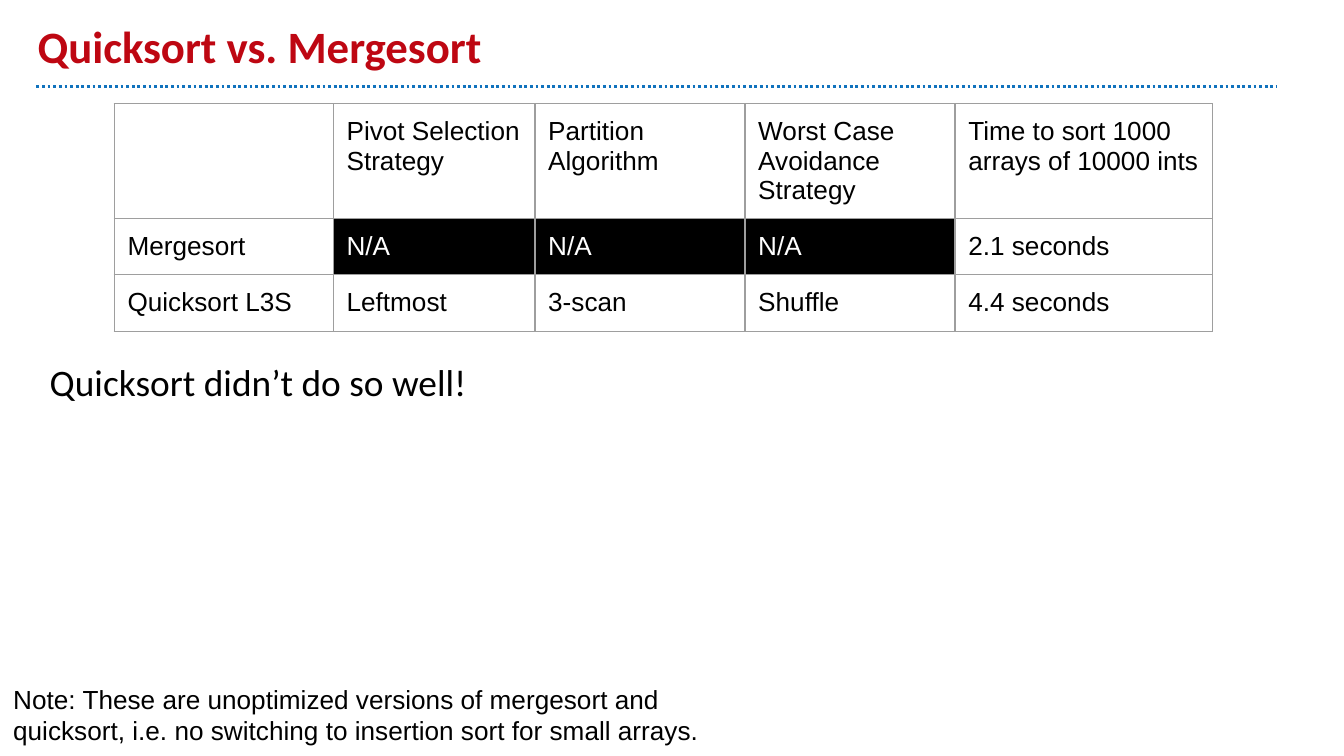
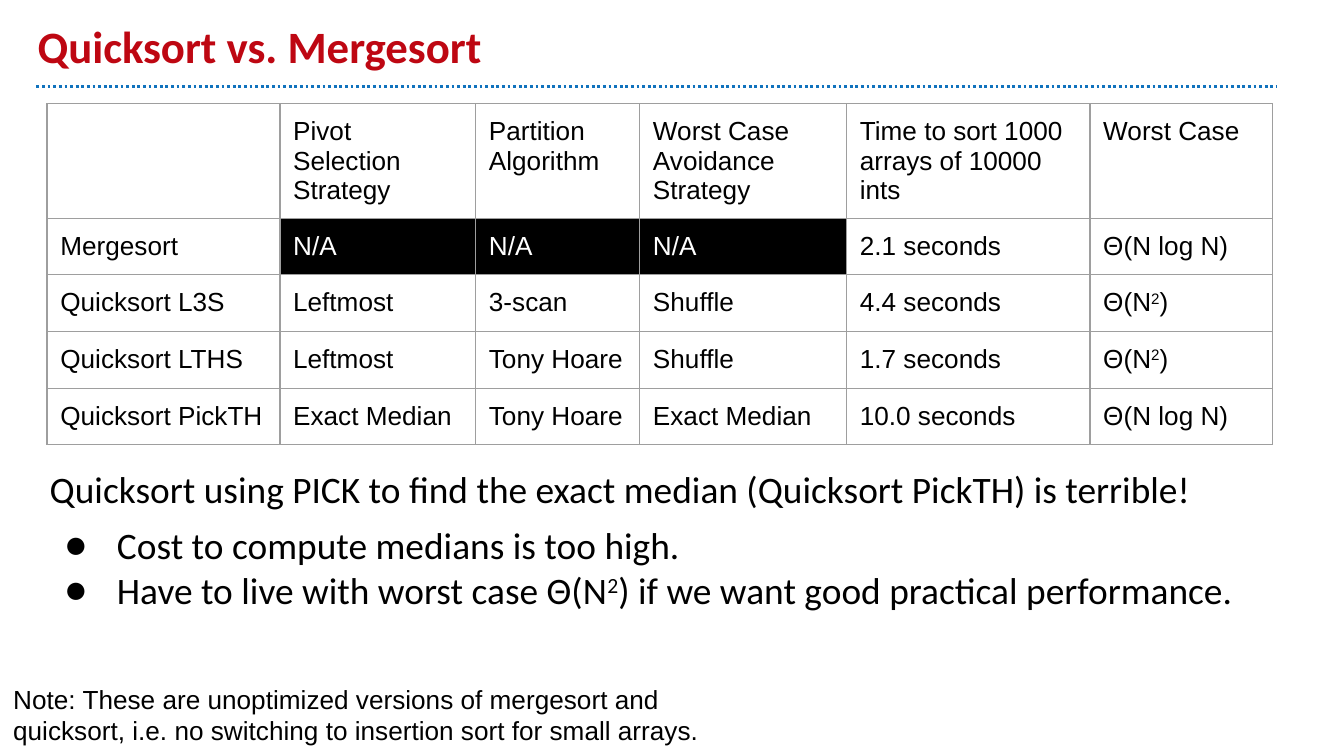
from lxml import etree
from pptx import Presentation
from pptx.dml.color import RGBColor
from pptx.enum.dml import MSO_LINE
from pptx.enum.shapes import MSO_CONNECTOR
from pptx.enum.text import MSO_ANCHOR, MSO_AUTO_SIZE, PP_ALIGN
from pptx.oxml.ns import qn
from pptx.util import Cm, Pt

DOTTED = MSO_LINE.ROUND_DOT
STRAIGHT = MSO_CONNECTOR.STRAIGHT
TOP, BOTTOM = MSO_ANCHOR.TOP, MSO_ANCHOR.BOTTOM
NO_FIT = MSO_AUTO_SIZE.NONE
LEFT = PP_ALIGN.LEFT

RED, BLUE, GREY, BLACK, WHITE = "BE0712", "1072BD", "9E9E9E", "000000", "FFFFFF"
HEADING_FONT, TABLE_FONT = "Calibri", "Arial"
INSET = 0.25
ROW_HEIGHT = 1.07
TITLE = "Quicksort vs. Mergesort"
TITLE_BOX = (0.46, 0.25, 22.86, 1.37)
RULE_BOX = (0.69, 1.63, 23.44, 0)
NOTE_BOX = (0, 12.67, 13.84, 1.62)
NOTE = (
    "Note: These are unoptimized versions of mergesort and quicksort, "
    "i.e. no switching to insertion sort for small arrays."
)
HEADERS = [
    "",
    "Pivot Selection Strategy",
    "Partition\nAlgorithm",
    "Worst Case Avoidance Strategy",
    "Time to sort 1000 arrays of 10000 ints",
    "Worst Case",
]
RESULTS = [
    ["Mergesort", "N/A", "N/A", "N/A", "2.1 seconds", "Θ(N log N)"],
    ["Quicksort L3S", "Leftmost", "3-scan", "Shuffle", "4.4 seconds", "Θ(N^2)"],
    ["Quicksort LTHS", "Leftmost", "Tony Hoare", "Shuffle", "1.7 seconds", "Θ(N^2)"],
    ["Quicksort PickTH", "Exact Median", "Tony Hoare", "Exact Median",
     "10.0 seconds", "Θ(N log N)"],
]


def color(value):
    """Turn a hex string into a colour."""
    return RGBColor.from_string(value)


def add_child(parent, tag, **attributes):
    """Append a drawing element and return it."""
    return etree.SubElement(parent, qn(tag), attributes)


def place(shape, box):
    """Move a shape to a box given in centimetres."""
    shape.left, shape.top, shape.width, shape.height = map(Cm, box)


def set_bullet(para, bullet):
    """Give a paragraph a hanging bullet, or none."""
    props = para._p.get_or_add_pPr()
    props.set("marL", str(Cm(1.27) if bullet else 0))
    props.set("indent", str(Cm(-0.99) if bullet else 0))
    if bullet:
        add_child(add_child(props, "a:buClr"), "a:srgbClr", val=BLACK)
        add_child(props, "a:buFont", typeface=HEADING_FONT)
        add_child(props, "a:buChar", char="●")
    else:
        add_child(props, "a:buNone")


def write(para, text, *, size=14, font=TABLE_FONT, ink=BLACK, bold=False,
          bullet=False, before=0):
    """Write a paragraph, raising the character after each caret."""
    set_bullet(para, bullet)
    para.alignment = LEFT
    para.line_spacing = 1.0
    para.space_before = Pt(before)
    plain, *raised = text.split("^")
    pieces = [(plain, False)]
    for part in raised:
        pieces += [(part[0], True), (part[1:], False)]
    for piece, is_raised in pieces:
        if not piece:
            continue
        span = para.add_run()
        span.text = piece
        span.font.name, span.font.size, span.font.bold = font, Pt(size), bold
        span.font.color.rgb = color(ink)
        if is_raised:
            span._r.get_or_add_rPr().set("baseline", "30000")


def prepare_frame(frame, anchor=TOP):
    """Set the wrapping, insets and anchor of a text frame."""
    frame.word_wrap = True
    frame.auto_size = NO_FIT
    frame.vertical_anchor = anchor
    frame.margin_left = frame.margin_right = Cm(INSET)
    frame.margin_top = frame.margin_bottom = Cm(INSET)
    return frame


def add_heading(page, box, rule_box):
    """Fill the title and draw the dotted rule below it."""
    place(page.shapes.title, box)
    frame = prepare_frame(page.shapes.title.text_frame, BOTTOM)
    write(frame.paragraphs[0], TITLE, size=24, font=HEADING_FONT, ink=RED, bold=True)
    left, top, width, height = rule_box
    rule = page.shapes.add_connector(
        STRAIGHT, Cm(left), Cm(top), Cm(left + width), Cm(top + height))
    rule.line.color.rgb = color(BLUE)
    rule.line.width = Pt(1.5)
    rule.line.dash_style = DOTTED
    add_child(rule._element.spPr, "a:effectLst")


def add_body(page, box, lead, bullets):
    """Fill the body with a lead sentence and its bullets."""
    body = page.placeholders[1]
    place(body, box)
    frame = prepare_frame(body.text_frame)
    write(frame.paragraphs[0], lead, size=20, font=HEADING_FONT)
    for index, text in enumerate(bullets):
        write(frame.add_paragraph(), text, size=20, font=HEADING_FONT,
              bullet=True, before=0 if index else 6)


def format_cell(cell, text):
    """Draw a cell's borders, fill and text."""
    cell.margin_left = cell.margin_right = Cm(INSET)
    cell.margin_top = cell.margin_bottom = Cm(INSET)
    props = cell._tc.get_or_add_tcPr()
    for side in ("a:lnL", "a:lnR", "a:lnT", "a:lnB"):
        fill = add_child(add_child(props, side, w=str(Pt(0.75))), "a:solidFill")
        add_child(fill, "a:srgbClr", val=GREY)
    missing = text == "N/A"
    if missing:
        cell.fill.solid()
        cell.fill.fore_color.rgb = color(BLACK)
    else:
        cell.fill.background()
    frame = cell.text_frame
    for index, line in enumerate(text.split("\n")):
        para = frame.add_paragraph() if index else frame.paragraphs[0]
        write(para, line, ink=WHITE if missing else BLACK)


def add_results(page, left, top, widths, row_count):
    """Add the timing table with as many columns as widths."""
    rows = [HEADERS] + RESULTS[:row_count]
    table = page.shapes.add_table(
        len(rows), len(widths), Cm(left), Cm(top),
        Cm(sum(widths)), Cm(ROW_HEIGHT * len(rows))).table
    table.first_row = table.horz_banding = False
    for column, width in zip(table.columns, widths):
        column.width = Cm(width)
    for row, texts in zip(table.rows, rows):
        row.height = Cm(ROW_HEIGHT)
        for cell, text in zip(row.cells, texts):
            format_cell(cell, text)


def add_note(page, box):
    """Add the note at the foot of the page."""
    note = page.shapes.add_textbox(*map(Cm, box))
    write(prepare_frame(note.text_frame).paragraphs[0], NOTE)


def add_comparison(deck, table_left, widths, row_count, body_box, lead, bullets=()):
    """Build one comparison slide."""
    page = deck.slides.add_slide(deck.slide_layouts[1])
    add_heading(page, TITLE_BOX, RULE_BOX)
    add_results(page, table_left, 1.96, widths, row_count)
    add_note(page, NOTE_BOX)
    add_body(page, body_box, lead, bullets)


def main():
    """Build and save the deck."""
    deck = Presentation()
    deck.slide_width, deck.slide_height = Cm(25.4), Cm(14.29)
    add_comparison(
        deck, 2.16, [4.14, 3.81, 3.97, 3.97, 4.87], 2, (0.69, 6.53, 23.44, 6.58),
        "Quicksort didn’t do so well!")
    add_comparison(
        deck, 0.89, [4.4, 3.7, 3.1, 3.91, 4.6, 3.45], 4, (0.69, 8.56, 23.44, 4.52),
        "Quicksort using PICK to find the exact median (Quicksort PickTH) is terrible!",
        ["Cost to compute medians is too high.",
         "Have to live with worst case Θ(N^2) if we want good practical performance."])
    deck.save("out.pptx")


if __name__ == "__main__":
    main()
